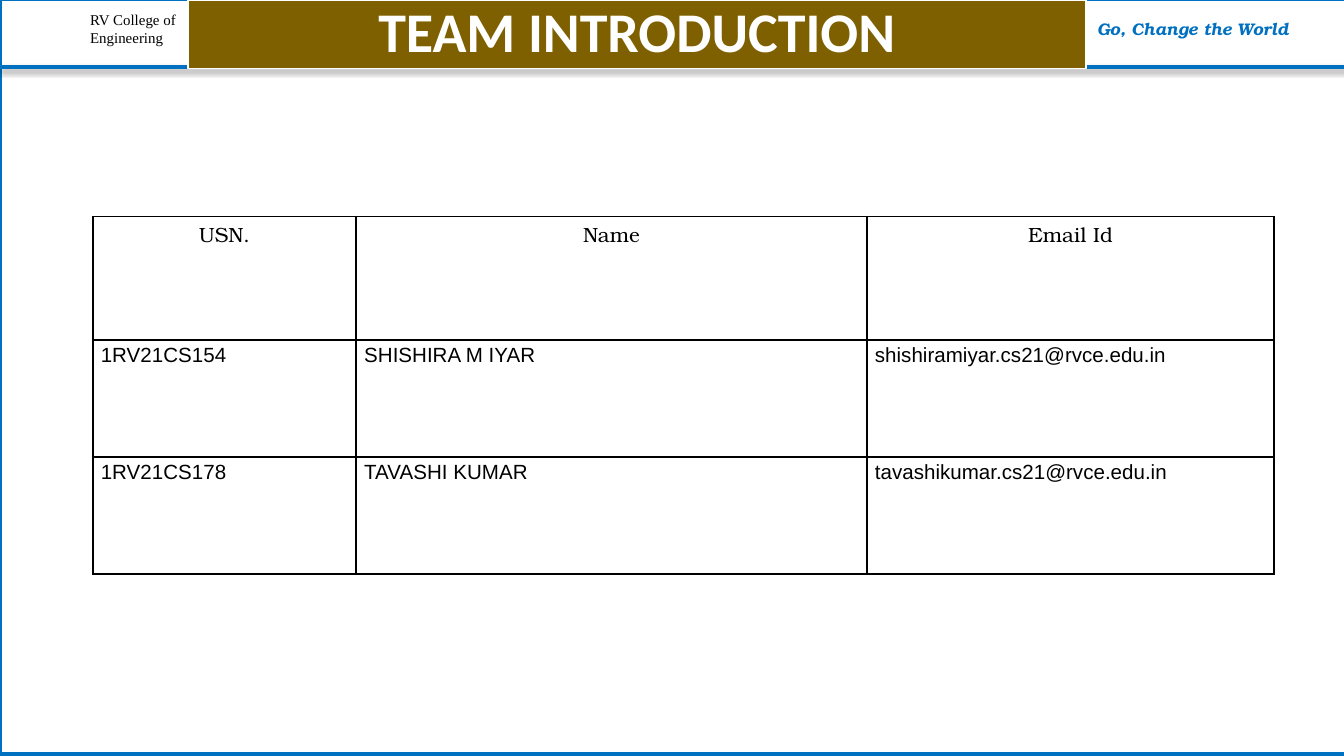
from dataclasses import dataclass

from lxml.etree import SubElement
from pptx import Presentation
from pptx.dml.color import RGBColor
from pptx.enum.shapes import MSO_CONNECTOR, MSO_SHAPE
from pptx.enum.text import MSO_ANCHOR, PP_ALIGN
from pptx.oxml import parse_xml
from pptx.oxml.ns import nsdecls, qn
from pptx.slide import Slide
from pptx.table import _Cell
from pptx.text.text import TextFrame, _Paragraph
from pptx.util import Inches, Pt

SLIDE_WIDTH = 10
SLIDE_HEIGHT = SLIDE_WIDTH * 9 / 16

BLUE = "0070C0"
WHITE = "FFFFFF"
BLACK = "000000"
GOLD = "7F6000"
SERIF = "TeX Gyre Bonum"


@dataclass(frozen=True)
class TextStyle:
    font: str
    size: float
    color: str = BLACK
    bold: bool = False
    italic: bool = False
    align: PP_ALIGN = PP_ALIGN.LEFT


@dataclass(frozen=True)
class Label:
    left: float
    top: float
    width: float
    height: float
    lines: tuple[str, ...]
    style: TextStyle


TITLE_STYLE = TextStyle("Calibri", 30, WHITE, bold=True, align=PP_ALIGN.CENTER)
HEADER_STYLE = TextStyle(SERIF, 11, align=PP_ALIGN.CENTER)
BODY_STYLE = TextStyle("Arial", 11)

LABELS = (
    Label(0.6, 0.04, 1.1, 0.34, ("RV College of", "Engineering"),
          TextStyle("Times New Roman", 8)),
    Label(7.75, 0.1, 2.25, 0.23, ("Go, Change the World",),
          TextStyle(SERIF, 9, BLUE, bold=True, italic=True, align=PP_ALIGN.CENTER)),
)

TEAM = (
    ("USN.", "Name", "Email Id"),
    ("1RV21CS154", "SHISHIRA M IYAR", "shishiramiyar.cs21@rvce.edu.in"),
    ("1RV21CS178", "TAVASHI KUMAR", "tavashikumar.cs21@rvce.edu.in"),
)
COLUMN_WIDTHS = (1.96, 3.8, 3.03)
ROW_HEIGHTS = (0.92, 0.87, 0.87)


def rgb(color: str) -> RGBColor:
    return RGBColor.from_string(color)


def write(paragraph: _Paragraph, text: str, style: TextStyle) -> None:
    paragraph.alignment = style.align
    run = paragraph.add_run()
    run.text = text
    run.font.name = style.font
    run.font.size = Pt(style.size)
    run.font.bold = style.bold
    run.font.italic = style.italic
    run.font.color.rgb = rgb(style.color)


def set_margins(target: TextFrame | _Cell, side: float, end: float) -> None:
    target.margin_left = target.margin_right = Inches(side)
    target.margin_top = target.margin_bottom = Inches(end)


def add_frame(slide: Slide) -> None:
    frame = slide.shapes.add_shape(
        MSO_SHAPE.RECTANGLE, Inches(0), Inches(-0.01), Inches(10.04), Inches(5.62))
    frame.shadow.inherit = False
    frame.fill.solid()
    frame.fill.fore_color.rgb = rgb(WHITE)
    frame.line.color.rgb = rgb(BLUE)
    frame.line.width = Pt(2)


def add_header_rule(slide: Slide) -> None:
    rule = slide.shapes.add_connector(
        MSO_CONNECTOR.STRAIGHT, Inches(0), Inches(0.5), Inches(10.07), Inches(0.5))
    rule.line.color.rgb = rgb(BLUE)
    rule.line.width = Pt(2)
    rule.element.spPr.append(parse_xml(
        f'<a:effectLst {nsdecls("a")}>'
        f'<a:outerShdw blurRad="{Pt(3.1)}" dist="{Pt(1.6)}" dir="5400000" rotWithShape="0">'
        f'<a:srgbClr val="{BLACK}"><a:alpha val="37000"/></a:srgbClr>'
        '</a:outerShdw></a:effectLst>'))


def add_label(slide: Slide, label: Label) -> None:
    box = slide.shapes.add_textbox(
        Inches(label.left), Inches(label.top), Inches(label.width), Inches(label.height))
    text_frame = box.text_frame
    text_frame.word_wrap = True
    set_margins(text_frame, 0.07, 0.04)
    for index, line in enumerate(label.lines):
        paragraph = text_frame.add_paragraph() if index else text_frame.paragraphs[0]
        write(paragraph, line, label.style)


def format_title(slide: Slide, text: str) -> None:
    """Style the title placeholder as a banner in front of the header."""
    title = slide.shapes.title
    title.left, title.top = Inches(1.4), Inches(0)
    title.width, title.height = Inches(6.68), Inches(0.51)
    title.fill.solid()
    title.fill.fore_color.rgb = rgb(GOLD)
    title.line.color.rgb = rgb(WHITE)
    title.line.width = Pt(0.75)
    text_frame = title.text_frame
    text_frame.word_wrap = True
    text_frame.vertical_anchor = MSO_ANCHOR.MIDDLE
    set_margins(text_frame, 0.07, 0.04)
    paragraph = text_frame.paragraphs[0]
    paragraph.line_spacing = 0.9
    write(paragraph, text, TITLE_STYLE)
    title.element.getparent().append(title.element)


def add_borders(cell: _Cell) -> None:
    properties = cell._tc.get_or_add_tcPr()
    for side in ("a:lnL", "a:lnR", "a:lnT", "a:lnB"):
        border = SubElement(properties, qn(side), w=str(Pt(1)))
        fill = SubElement(border, qn("a:solidFill"))
        SubElement(fill, qn("a:srgbClr"), val=BLACK)


def add_team_table(slide: Slide) -> None:
    table = slide.shapes.add_table(
        len(TEAM), len(COLUMN_WIDTHS), Inches(0.69), Inches(1.61),
        Inches(sum(COLUMN_WIDTHS)), Inches(sum(ROW_HEIGHTS))).table
    table.first_row = table.horz_banding = False
    for column, width in zip(table.columns, COLUMN_WIDTHS):
        column.width = Inches(width)
    for row, height in zip(table.rows, ROW_HEIGHTS):
        row.height = Inches(height)
    for row_index, values in enumerate(TEAM):
        style = BODY_STYLE if row_index else HEADER_STYLE
        for column_index, value in enumerate(values):
            cell = table.cell(row_index, column_index)
            set_margins(cell, 0.06, 0.03)
            add_borders(cell)
            cell.fill.background()
            write(cell.text_frame.paragraphs[0], value, style)


def main() -> None:
    presentation = Presentation()
    presentation.slide_width = Inches(SLIDE_WIDTH)
    presentation.slide_height = Inches(SLIDE_HEIGHT)
    slide = presentation.slides.add_slide(presentation.slide_layouts[5])
    slide.background.fill.solid()
    slide.background.fill.fore_color.rgb = rgb("2E75B5")
    add_frame(slide)
    add_header_rule(slide)
    for label in LABELS:
        add_label(slide, label)
    format_title(slide, "TEAM INTRODUCTION")
    add_team_table(slide)
    presentation.save("out.pptx")


if __name__ == "__main__":
    main()
